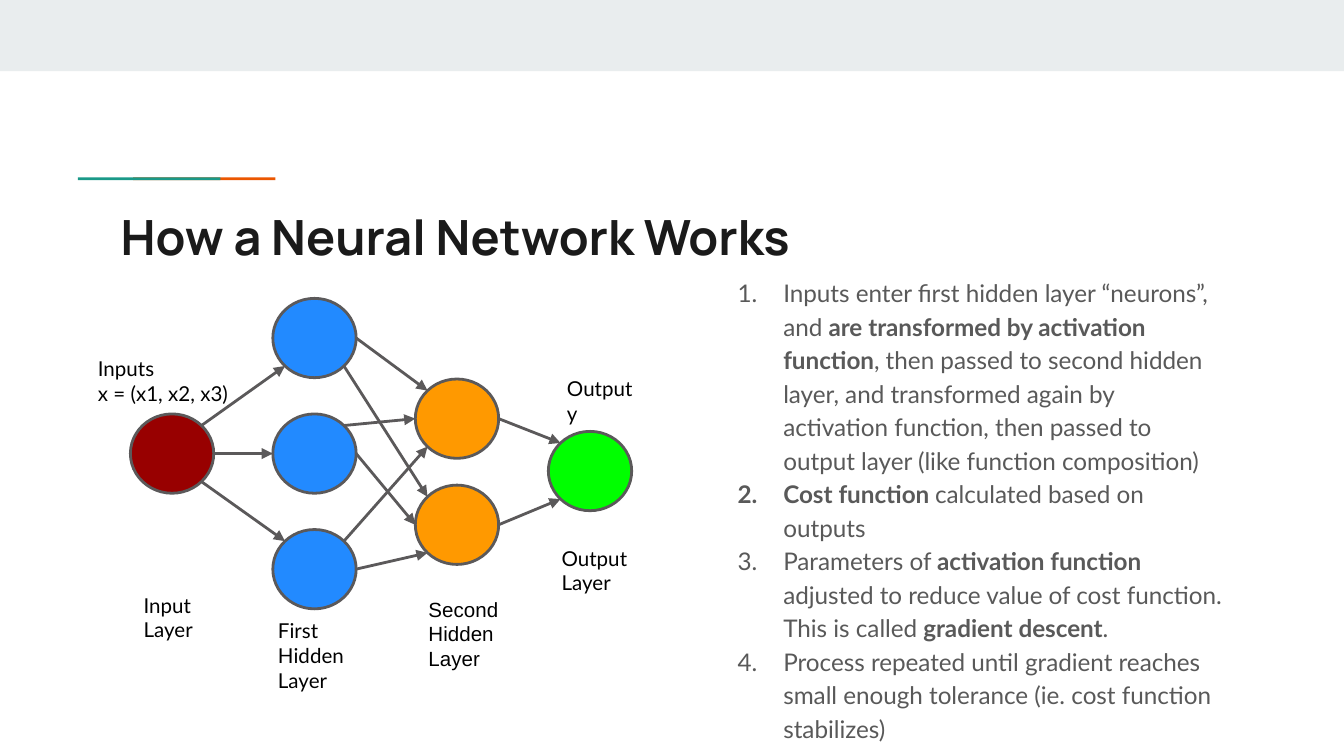
from math import cos, radians, sin

from lxml import etree
from pptx import Presentation
from pptx.dml.color import RGBColor
from pptx.enum.shapes import MSO_CONNECTOR as CXN, MSO_SHAPE as SHAPE
from pptx.enum.text import MSO_ANCHOR as ANCHOR
from pptx.oxml.ns import qn
from pptx.util import Inches, Pt

BAND = RGBColor(0xE9, 0xED, 0xEE)
ORANGE_RULE = RGBColor(0xEB, 0x56, 0x00)
TEAL = RGBColor(0x1A, 0x99, 0x88)
TITLE = RGBColor(0x1A, 0x1A, 0x1A)
BODY = RGBColor(0x59, 0x59, 0x59)
BLACK = RGBColor(0x00, 0x00, 0x00)
OUTLINE = RGBColor(0x5B, 0x59, 0x5A)
RED = RGBColor(0x98, 0x00, 0x00)
BLUE = RGBColor(0x22, 0x8A, 0xFF)
AMBER = RGBColor(0xFF, 0x99, 0x00)
GREEN = RGBColor(0x00, 0xFF, 0x00)

NODE_W, NODE_H = 0.62, 0.59

# Node: left and top within the diagram, fill
NODES = {
    "input": (0.34, 0.86, RED),
    "first3": (1.4, 1.72, BLUE),
    "first2": (1.4, 0.86, BLUE),
    "first1": (1.4, 0, BLUE),
    "second2": (2.46, 1.39, AMBER),
    "second1": (2.46, 0.6, AMBER),
    "output": (3.45, 0.99, GREEN),
}

# Start node and angle, end node and angle; degrees run clockwise from the right
LINKS = [
    ("input", 45, "first3", 225),
    ("input", -45, "first1", 135),
    ("input", 0, "first2", 180),
    ("first1", 0, "second1", 225),
    ("first1", 45, "second2", 225),
    ("first2", -45, "second1", 180),
    ("first2", 0, "second2", 180),
    ("first3", -45, "second1", 135),
    ("first3", 0, "second2", 135),
    ("second1", 0, "output", 225),
    ("second2", 0, "output", 135),
]

# Left, top, width and height within the diagram, lines, font
LABELS = [
    (0.34, 2.09, 0.87, 0.36, ["Input Layer"], "Lato"),
    (1.34, 2.28, 0.74, 0.24, ["First Hidden Layer"], "Lato"),
    (2.46, 2.12, 0.74, 0.4, ["Second Hidden Layer"], "Arial"),
    (3.45, 1.74, 0.79, 0.4, ["Output", "Layer"], "Lato"),
    (0, 0.33, 1.21, 0.36, ["Inputs", "x = (x1, x2, x3)"], "Lato"),
    (3.49, 0.49, 0.79, 0.19, ["Output y"], "Lato"),
]

# Each step is a list of (text, bold) runs
STEPS = [
    [("Inputs enter first hidden layer “neurons”, and ", False),
     ("are transformed by activation function", True),
     (", then passed to second hidden layer, and transformed again by "
      "activation function, then passed to output layer "
      "(like function composition)", False)],
    [("Cost function ", True), ("calculated based on outputs", False)],
    [("Parameters of ", False), ("activation function ", True),
     ("adjusted to reduce value of cost function. This is called ", False),
     ("gradient descent", True), (".", False)],
    [("Process repeated until gradient reaches small enough tolerance "
      "(ie. cost function stabilizes)", False)],
]


def add_text(slide, box, paragraphs, size, color, font="Lato", spacing=None,
             numbered=False):
    """Add a text box; each paragraph is a list of (text, bold) runs."""
    tf = slide.shapes.add_textbox(*map(Inches, box)).text_frame
    tf.word_wrap = True
    tf.vertical_anchor = ANCHOR.TOP
    tf.margin_left = tf.margin_right = Inches(0.1)
    tf.margin_top = tf.margin_bottom = Inches(0.1)
    for i, runs in enumerate(paragraphs):
        p = tf.add_paragraph() if i else tf.paragraphs[0]
        if spacing:
            p.line_spacing = spacing
        for text, bold in runs:
            r = p.add_run()
            r.text = text
            r.font.name, r.font.size, r.font.bold = font, Pt(size), bold
            r.font.color.rgb = color
        if numbered:
            number_paragraph(p, color)


def number_paragraph(p, color):
    pPr = p._p.get_or_add_pPr()
    pPr.set("marL", str(Inches(0.5)))
    pPr.set("indent", str(Inches(-0.34)))
    bu_clr = etree.SubElement(pPr, qn("a:buClr"))
    etree.SubElement(bu_clr, qn("a:srgbClr"), val=str(color))
    etree.SubElement(pPr, qn("a:buFont"), typeface="Lato")
    etree.SubElement(pPr, qn("a:buAutoNum"), type="arabicPeriod")


def add_filled(slide, kind, box, fill, outline=None):
    sp = slide.shapes.add_shape(kind, *map(Inches, box))
    sp.shadow.inherit = False
    sp.fill.solid()
    sp.fill.fore_color.rgb = fill
    if outline is None:
        sp.line.fill.background()
    else:
        sp.line.color.rgb = outline
        sp.line.width = Pt(1.5)


def add_arrow(slide, start, end):
    cxn = slide.shapes.add_connector(CXN.STRAIGHT, *map(Inches, start + end))
    cxn.line.color.rgb = OUTLINE
    cxn.line.width = Pt(1.5)
    spPr = cxn._element.spPr
    etree.SubElement(spPr.get_or_add_ln(), qn("a:tailEnd"), type="triangle")
    etree.SubElement(spPr, qn("a:effectLst"))


def add_header(slide, x, y, w):
    add_filled(slide, SHAPE.RECTANGLE, (x, y, w, 0.53), BAND)
    for left, color in ((0.99, ORANGE_RULE), (0.58, TEAL)):
        add_filled(slide, SHAPE.RECTANGLE, (x + left, y + 1.32, 1.06, 0.02), color)
    add_text(slide, (x + 0.8, y + 1.44, w - 1.59, 0.59),
             [[("How a Neural Network Works", True)]], 26, TITLE, "Manrope")


def add_network(slide, x, y):
    def rim_point(name, angle):
        left, top, _ = NODES[name]
        a = radians(angle)
        return (x + left + NODE_W / 2 * (1 + cos(a)),
                y + top + NODE_H / 2 * (1 + sin(a)))

    for left, top, fill in NODES.values():
        add_filled(slide, SHAPE.OVAL, (x + left, y + top, NODE_W, NODE_H),
                   fill, OUTLINE)
    for source, leave, target, arrive in LINKS:
        add_arrow(slide, rim_point(source, leave), rim_point(target, arrive))
    for left, top, w, h, lines, font in LABELS:
        add_text(slide, (x + left, y + top, w, h),
                 [[(line, False)] for line in lines], 11, BLACK, font)


def add_steps(slide, box):
    add_text(slide, box, STEPS, 13, BODY, spacing=1.15, numbered=True)


def main():
    prs = Presentation()
    prs.slide_width = Inches(10)
    prs.slide_height = prs.slide_width * 9 // 16
    slide = prs.slides.add_slide(prs.slide_layouts[6])
    add_header(slide, 0, 0, 10)
    add_steps(slide, (5.23, 1.94, 3.98, 2.47))
    add_network(slide, 0.63, 2.22)
    prs.save("out.pptx")


if __name__ == "__main__":
    main()
